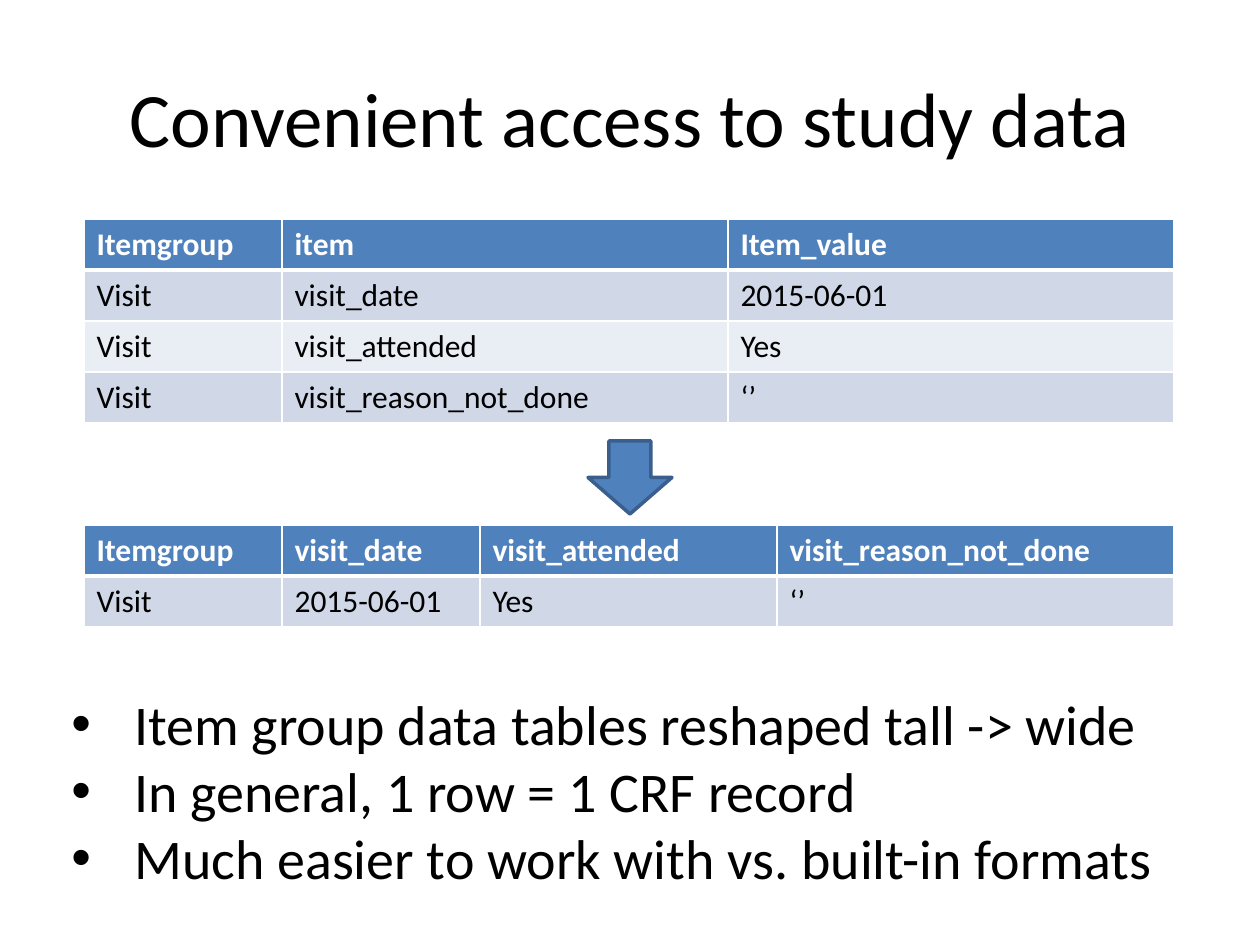
from lxml import etree
from pptx import Presentation
from pptx import util as u
from pptx.dml.color import RGBColor
from pptx.enum import shapes, text
from pptx.oxml import ns

PX = u.Inches(1) / 126
FONT = "Calibri"
BLACK = RGBColor(0x00, 0x00, 0x00)
WHITE = RGBColor(0xFF, 0xFF, 0xFF)
BLUE = RGBColor(0x4F, 0x81, 0xBD)
DARK_BLUE = RGBColor(0x3A, 0x5F, 0x8C)
BANDS = (RGBColor(0xD0, 0xD8, 0xE8), RGBColor(0xE9, 0xED, 0xF4))
ROW_HEIGHT = 51


def px(length):
    return u.Emu(round(length * PX))


def style(para, size, color=BLACK, bold=False):
    para.font.name = FONT
    para.font.size = u.Pt(size)
    para.font.color.rgb = color
    para.font.bold = bold


def add_text_box(page, box):
    frame = page.shapes.add_textbox(*map(px, box)).text_frame
    frame.word_wrap = True
    return frame


def add_title(page, box, wording):
    frame = add_text_box(page, box)
    frame.vertical_anchor = text.MSO_ANCHOR.MIDDLE
    para = frame.paragraphs[0]
    para.text = wording
    para.alignment = text.PP_ALIGN.CENTER
    style(para, 44)


def add_border(cell, side, points):
    properties = cell._tc.get_or_add_tcPr()
    line = etree.SubElement(properties, ns.qn(f"a:ln{side}"), w=str(u.Pt(points)))
    fill = etree.SubElement(line, ns.qn("a:solidFill"))
    etree.SubElement(fill, ns.qn("a:srgbClr"), val=str(WHITE))


def add_data_table(page, left, top, widths, rows):
    box = (left, top, sum(widths), ROW_HEIGHT * len(rows))
    table = page.shapes.add_table(len(rows), len(widths), *map(px, box)).table
    for column, width in zip(table.columns, widths):
        column.width = px(width)
    for r, values in enumerate(rows):
        table.rows[r].height = px(ROW_HEIGHT)
        header = r == 0
        # The rule under the header is thicker than the other borders
        borders = {"L": 1, "R": 1, "T": 3 if r == 1 else 1, "B": 3 if header else 1}
        for c, value in enumerate(values):
            cell = table.cell(r, c)
            cell.text = value
            style(cell.text_frame.paragraphs[0], 18, WHITE if header else BLACK, header)
            for side, points in borders.items():
                add_border(cell, side, points)
            cell.fill.solid()
            cell.fill.fore_color.rgb = BLUE if header else BANDS[(r - 1) % 2]


def add_down_arrow(page, box):
    arrow = page.shapes.add_shape(shapes.MSO_SHAPE.DOWN_ARROW, *map(px, box))
    arrow.shadow.inherit = False
    arrow.fill.solid()
    arrow.fill.fore_color.rgb = BLUE
    arrow.line.color.rgb = DARK_BLUE
    arrow.line.width = u.Pt(2)


def add_bullets(page, box, points):
    frame = add_text_box(page, box)
    for i, point in enumerate(points):
        para = frame.add_paragraph() if i else frame.paragraphs[0]
        para.text = point
        style(para, 32)
        properties = para._p.get_or_add_pPr()
        properties.set("marL", str(u.Inches(0.5)))
        properties.set("indent", str(-u.Inches(0.5)))
        bullet_font = etree.Element(ns.qn("a:buFont"), typeface="Arial")
        bullet = etree.Element(ns.qn("a:buChar"), char="•")
        properties.insert(0, bullet_font)
        properties.insert(1, bullet)


def main():
    deck = Presentation()
    deck.slide_width, deck.slide_height = u.Inches(10), u.Inches(7.5)
    page = deck.slides.add_slide(deck.slide_layouts[6])

    add_title(page, (59, 38, 1142, 157), "Convenient access to study data")

    # Tall table: one row per item
    add_data_table(page, 84, 219, (198, 446, 446), (
        ("Itemgroup", "item", "Item_value"),
        ("Visit", "visit_date", "2015-06-01"),
        ("Visit", "visit_attended", "Yes"),
        ("Visit", "visit_reason_not_done", "‘’"),
    ))

    # Wide table: one column per item
    add_data_table(page, 84, 525, (198, 198, 297, 397), (
        ("Itemgroup", "visit_date", "visit_attended", "visit_reason_not_done"),
        ("Visit", "2015-06-01", "Yes", "‘’"),
    ))
    add_down_arrow(page, (588, 441, 84, 73))

    add_bullets(page, (59, 683, 1142, 217), (
        "Item group data tables reshaped tall -> wide",
        "In general, 1 row = 1 CRF record",
        "Much easier to work with vs. built-in formats",
    ))
    deck.save("out.pptx")


if __name__ == "__main__":
    main()
